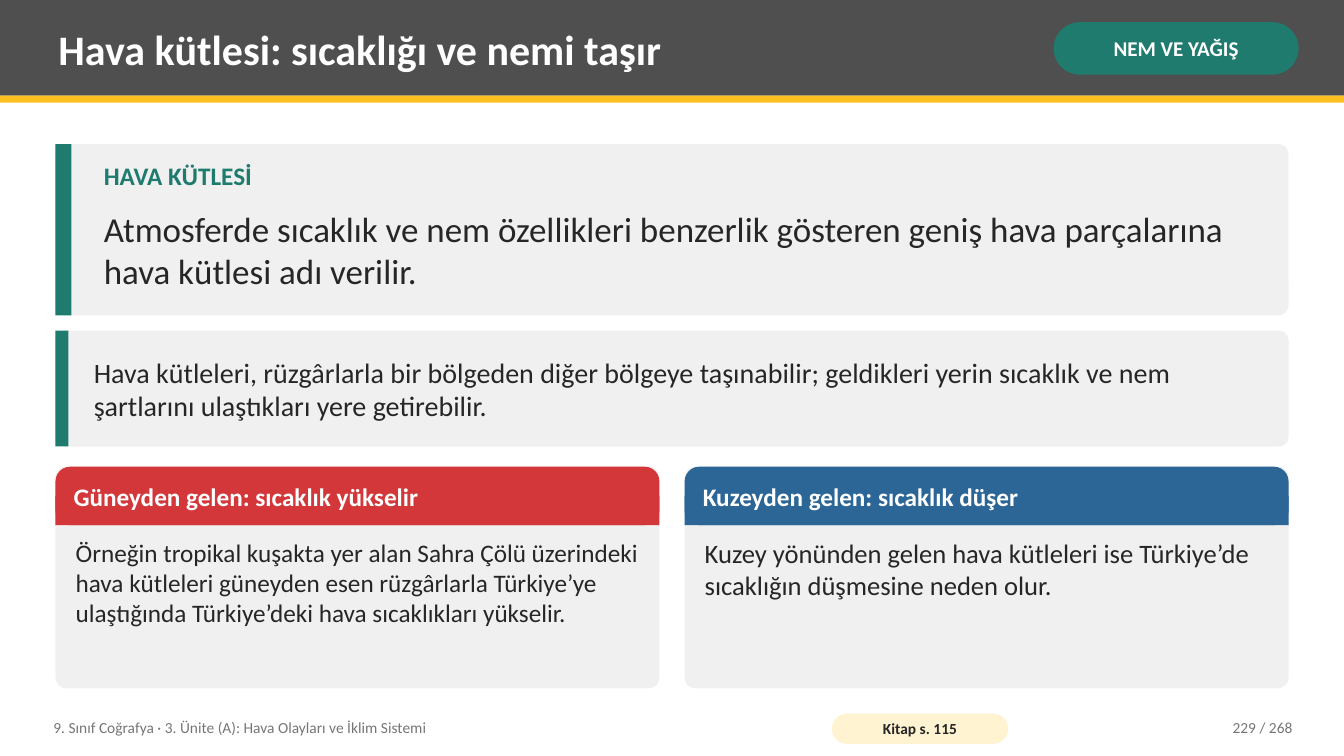
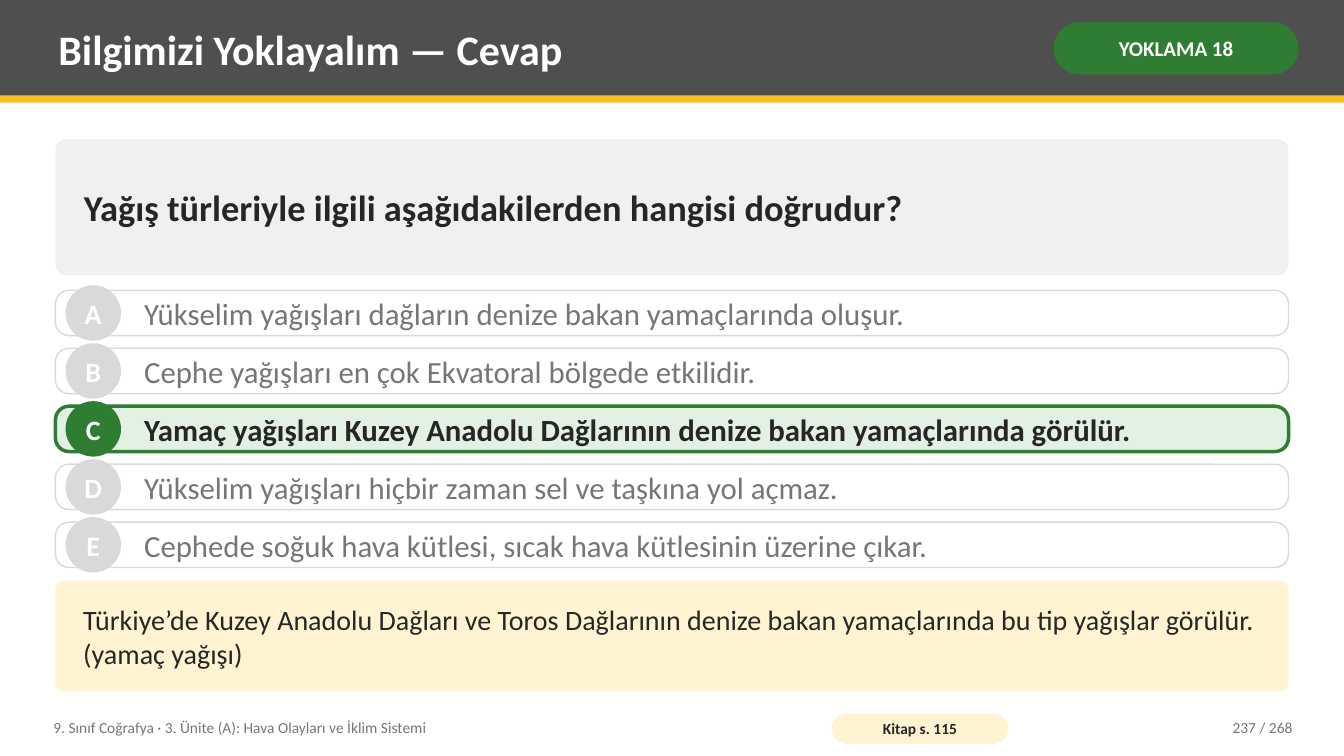
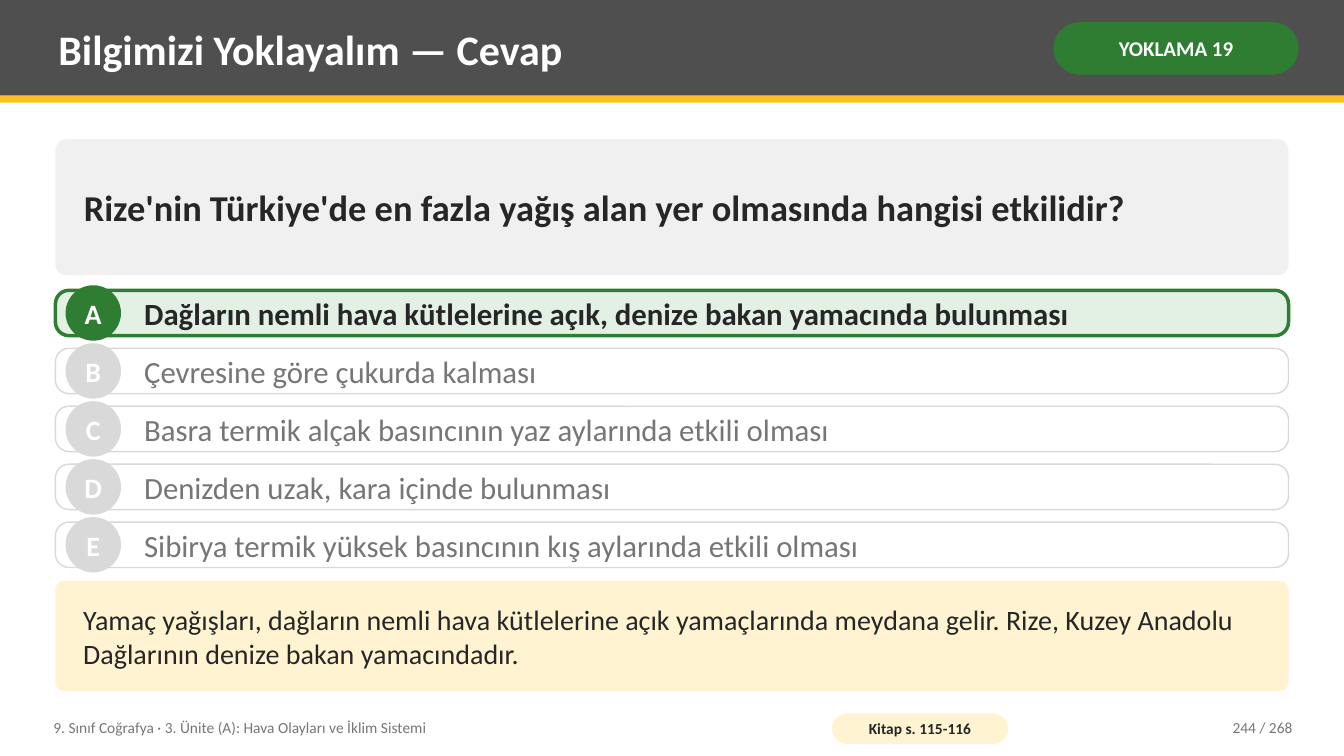
from dataclasses import dataclass
from typing import Optional

from pptx import Presentation
from pptx.dml.color import RGBColor
from pptx.enum.shapes import MSO_SHAPE
from pptx.enum.text import MSO_ANCHOR, PP_ALIGN
from pptx.shapes.autoshape import Shape
from pptx.slide import Slide
from pptx.util import Inches, Pt

COLORS = {
    "band": "4F4F4F",
    "accent": "FCC021",
    "panel": "F0F0F0",
    "note": "FFF3D1",
    "ink": "262626",
    "muted": "767676",
    "outline": "D9D9D9",
    "white": "FFFFFF",
    "teal": "1E7B6E",
    "green": "2E7D32",
    "mint": "E3F1E4",
    "red": "D3373A",
    "blue": "2C6696",
}
FONT = "Calibri"
SLIDE_WIDTH, SLIDE_HEIGHT = 13.33, 7.5
MARGIN = 0.55
CONTENT_WIDTH = SLIDE_WIDTH - 2 * MARGIN
TEXT_INSETS = (0.08, 0.04)
PANEL_INSETS = (0.25, 0.08)

UNIT_NAME = "9. Sınıf Coğrafya · 3. Ünite (A): Hava Olayları ve İklim Sistemi"
PAGE_TOTAL = 268

COLUMN_GAP = 0.25
COLUMN_WIDTH = (CONTENT_WIDTH - COLUMN_GAP) / 2
COLUMN_TOP, COLUMN_HEIGHT, HEADING_HEIGHT = 4.63, 2.2, 0.58

FIRST_OPTION_TOP, LAST_OPTION_TOP = 2.88, 5.18
OPTION_HEIGHT, BADGE_SIZE = 0.45, 0.55


@dataclass(frozen=True)
class Box:
    left: float
    top: float
    width: float
    height: float


@dataclass(frozen=True)
class TextStyle:
    size: float
    color: str = "ink"
    bold: bool = False
    align: PP_ALIGN = PP_ALIGN.LEFT
    anchor: MSO_ANCHOR = MSO_ANCHOR.MIDDLE
    insets: tuple[float, float] = TEXT_INSETS
    wrap: bool = True


@dataclass(frozen=True)
class Frame:
    title: str
    tag: str
    tag_color: str
    book_pages: str
    page: int


@dataclass(frozen=True)
class Column:
    heading: str
    body: str
    color: str
    body_size: float


@dataclass(frozen=True)
class Quiz:
    frame: Frame
    question: str
    options: tuple[str, ...]
    answer: str
    explanation: str


TITLE = TextStyle(30, "white", True)
TAG = TextStyle(15, "white", True, PP_ALIGN.CENTER, insets=(0.05, 0.02))
FOOTER = TextStyle(11, "muted")
PAGE_NUMBER = TextStyle(11, "muted", align=PP_ALIGN.RIGHT)
BOOK_PAGES = TextStyle(11, bold=True, align=PP_ALIGN.CENTER, insets=(0.04, 0))
TERM = TextStyle(18, "teal", True, anchor=MSO_ANCHOR.TOP)
DEFINITION = TextStyle(25)
DETAIL = TextStyle(20)
HEADING = TextStyle(18, "white", True)
QUESTION = TextStyle(26, bold=True, insets=PANEL_INSETS)
EXPLANATION = TextStyle(20, insets=PANEL_INSETS)
BADGE = TextStyle(20, "white", True, PP_ALIGN.CENTER, insets=(0, 0), wrap=False)
OPTION = TextStyle(22, "muted")
ANSWER = TextStyle(22, bold=True)

AIR_MASS_FRAME = Frame("Hava kütlesi: sıcaklığı ve nemi taşır", "NEM VE YAĞIŞ", "teal", "115", 229)
AIR_MASS_COLUMNS = (
    Column(
        "Güneyden gelen: sıcaklık yükselir",
        "Örneğin tropikal kuşakta yer alan Sahra Çölü üzerindeki hava kütleleri güneyden esen "
        "rüzgârlarla Türkiye’ye ulaştığında Türkiye’deki hava sıcaklıkları yükselir.",
        "red",
        18,
    ),
    Column(
        "Kuzeyden gelen: sıcaklık düşer",
        "Kuzey yönünden gelen hava kütleleri ise Türkiye’de sıcaklığın düşmesine neden olur.",
        "blue",
        19,
    ),
)
QUIZ_TITLE = "Bilgimizi Yoklayalım — Cevap"
QUIZZES = (
    Quiz(
        Frame(QUIZ_TITLE, "YOKLAMA 18", "green", "115", 237),
        "Yağış türleriyle ilgili aşağıdakilerden hangisi doğrudur?",
        (
            "Yükselim yağışları dağların denize bakan yamaçlarında oluşur.",
            "Cephe yağışları en çok Ekvatoral bölgede etkilidir.",
            "Yamaç yağışları Kuzey Anadolu Dağlarının denize bakan yamaçlarında görülür.",
            "Yükselim yağışları hiçbir zaman sel ve taşkına yol açmaz.",
            "Cephede soğuk hava kütlesi, sıcak hava kütlesinin üzerine çıkar.",
        ),
        "C",
        "Türkiye’de Kuzey Anadolu Dağları ve Toros Dağlarının denize bakan yamaçlarında "
        "bu tip yağışlar görülür. (yamaç yağışı)",
    ),
    Quiz(
        Frame(QUIZ_TITLE, "YOKLAMA 19", "green", "115-116", 244),
        "Rize'nin Türkiye'de en fazla yağış alan yer olmasında hangisi etkilidir?",
        (
            "Dağların nemli hava kütlelerine açık, denize bakan yamacında bulunması",
            "Çevresine göre çukurda kalması",
            "Basra termik alçak basıncının yaz aylarında etkili olması",
            "Denizden uzak, kara içinde bulunması",
            "Sibirya termik yüksek basıncının kış aylarında etkili olması",
        ),
        "A",
        "Yamaç yağışları, dağların nemli hava kütlelerine açık yamaçlarında meydana gelir. "
        "Rize, Kuzey Anadolu Dağlarının denize bakan yamacındadır.",
    ),
)


def color_of(name: str) -> RGBColor:
    return RGBColor.from_string(COLORS[name])


def lengths(box: Box) -> tuple[Inches, ...]:
    return tuple(Inches(value) for value in (box.left, box.top, box.width, box.height))


def write_text(shape: Shape, text: str, style: TextStyle) -> None:
    text_frame = shape.text_frame
    horizontal, vertical = (Inches(inset) for inset in style.insets)
    frame_format = {
        "word_wrap": style.wrap,
        "vertical_anchor": style.anchor,
        "margin_left": horizontal,
        "margin_right": horizontal,
        "margin_top": vertical,
        "margin_bottom": vertical,
    }
    for name, value in frame_format.items():
        setattr(text_frame, name, value)
    paragraph = text_frame.paragraphs[0]
    paragraph.alignment = style.align
    run = paragraph.add_run()
    run.text = text
    for name, value in {"name": FONT, "size": Pt(style.size), "bold": style.bold}.items():
        setattr(run.font, name, value)
    run.font.color.rgb = color_of(style.color)


def add_text(slide: Slide, box: Box, text: str, style: TextStyle) -> None:
    write_text(slide.shapes.add_textbox(*lengths(box)), text, style)


def add_block(
    slide: Slide,
    box: Box,
    fill: str,
    rounding: Optional[float] = None,
    kind: MSO_SHAPE = MSO_SHAPE.RECTANGLE,
) -> Shape:
    """Add a filled shape without outline; a rounding makes it a rounded rectangle."""
    if rounding is not None:
        kind = MSO_SHAPE.ROUNDED_RECTANGLE
    shape = slide.shapes.add_shape(kind, *lengths(box))
    if rounding is not None:
        shape.adjustments[0] = rounding
    shape.shadow.inherit = False
    shape.fill.solid()
    shape.fill.fore_color.rgb = color_of(fill)
    shape.line.fill.background()
    return shape


def add_framed_slide(presentation: Presentation, frame: Frame) -> Slide:
    """Add a blank slide with the title band, tag and footer."""
    slide = presentation.slides.add_slide(presentation.slide_layouts[6])
    add_block(slide, Box(0, 0, SLIDE_WIDTH, 0.95), "band")
    add_block(slide, Box(0, 0.95, SLIDE_WIDTH, 0.07), "accent")
    add_text(slide, Box(0.5, 0.07, 9.75, 0.82), frame.title, TITLE)
    tag = add_block(slide, Box(10.45, 0.22, 2.43, 0.52), frame.tag_color, 0.5)
    write_text(tag, frame.tag, TAG)

    add_text(slide, Box(0.45, 7.04, 7.6, 0.36), UNIT_NAME, FOOTER)
    book_pages = add_block(slide, Box(8.25, 7.08, 1.75, 0.3), "note", 0.5)
    write_text(book_pages, f"Kitap s. {frame.book_pages}", BOOK_PAGES)
    add_text(slide, Box(11.3, 7.04, 1.6, 0.36), f"{frame.page} / {PAGE_TOTAL}", PAGE_NUMBER)
    return slide


def add_barred_panel(slide: Slide, top: float, height: float, bar_width: float, rounding: float) -> None:
    add_block(slide, Box(MARGIN, top, CONTENT_WIDTH, height), "panel", rounding)
    add_block(slide, Box(MARGIN, top, bar_width, height), "teal")


def add_column(slide: Slide, left: float, column: Column) -> None:
    half_heading = HEADING_HEIGHT / 2
    add_block(slide, Box(left, COLUMN_TOP, COLUMN_WIDTH, COLUMN_HEIGHT), "panel", 0.05)
    add_block(slide, Box(left, COLUMN_TOP, COLUMN_WIDTH, HEADING_HEIGHT), column.color, 0.25)
    add_block(slide, Box(left, COLUMN_TOP + half_heading, COLUMN_WIDTH, half_heading), column.color)
    heading_box = Box(left + 0.1, COLUMN_TOP, COLUMN_WIDTH - 0.2, HEADING_HEIGHT)
    add_text(slide, heading_box, column.heading, HEADING)
    body_box = Box(left + 0.12, COLUMN_TOP + 0.66, COLUMN_WIDTH - 0.24, 1.46)
    add_text(slide, body_box, column.body, TextStyle(column.body_size, anchor=MSO_ANCHOR.TOP))


def add_air_mass_slide(presentation: Presentation) -> None:
    slide = add_framed_slide(presentation, AIR_MASS_FRAME)
    add_barred_panel(slide, 1.43, 1.7, 0.16, 0.06)
    add_text(slide, Box(0.95, 1.55, 11.63, 0.45), "HAVA KÜTLESİ", TERM)
    add_text(
        slide,
        Box(0.95, 1.98, 11.63, 1),
        "Atmosferde sıcaklık ve nem özellikleri benzerlik gösteren geniş hava parçalarına "
        "hava kütlesi adı verilir.",
        DEFINITION,
    )
    add_barred_panel(slide, 3.28, 1.15, 0.13, 0.08)
    add_text(
        slide,
        Box(0.85, 3.28, 11.78, 1.15),
        "Hava kütleleri, rüzgârlarla bir bölgeden diğer bölgeye taşınabilir; geldikleri yerin "
        "sıcaklık ve nem şartlarını ulaştıkları yere getirebilir.",
        DETAIL,
    )
    for index, column in enumerate(AIR_MASS_COLUMNS):
        add_column(slide, MARGIN + index * (COLUMN_WIDTH + COLUMN_GAP), column)


def add_option(slide: Slide, top: float, letter: str, text: str, correct: bool) -> None:
    row = add_block(
        slide, Box(MARGIN, top, CONTENT_WIDTH, OPTION_HEIGHT), "mint" if correct else "white", 0.3
    )
    accent = "green" if correct else "outline"
    row.line.color.rgb = color_of(accent)
    row.line.width = Pt(2.5 if correct else 1)
    badge_top = top + (OPTION_HEIGHT - BADGE_SIZE) / 2
    badge_box = Box(MARGIN + 0.1, badge_top, BADGE_SIZE, BADGE_SIZE)
    write_text(add_block(slide, badge_box, accent, kind=MSO_SHAPE.OVAL), letter, BADGE)
    add_text(slide, Box(1.35, top, 11.23, OPTION_HEIGHT), text, ANSWER if correct else OPTION)


def add_quiz_slide(presentation: Presentation, quiz: Quiz) -> None:
    slide = add_framed_slide(presentation, quiz.frame)
    question = add_block(slide, Box(MARGIN, 1.38, CONTENT_WIDTH, 1.35), "panel", 0.08)
    write_text(question, quiz.question, QUESTION)
    pitch = (LAST_OPTION_TOP - FIRST_OPTION_TOP) / (len(quiz.options) - 1)
    for index, (letter, text) in enumerate(zip("ABCDE", quiz.options)):
        add_option(slide, FIRST_OPTION_TOP + index * pitch, letter, text, letter == quiz.answer)
    explanation = add_block(slide, Box(MARGIN, 5.76, CONTENT_WIDTH, 1.1), "note", 0.08)
    write_text(explanation, quiz.explanation, EXPLANATION)


def main() -> None:
    presentation = Presentation()
    presentation.slide_width = Inches(SLIDE_WIDTH)
    presentation.slide_height = Inches(SLIDE_HEIGHT)
    add_air_mass_slide(presentation)
    for quiz in QUIZZES:
        add_quiz_slide(presentation, quiz)
    presentation.save("out.pptx")


if __name__ == "__main__":
    main()
